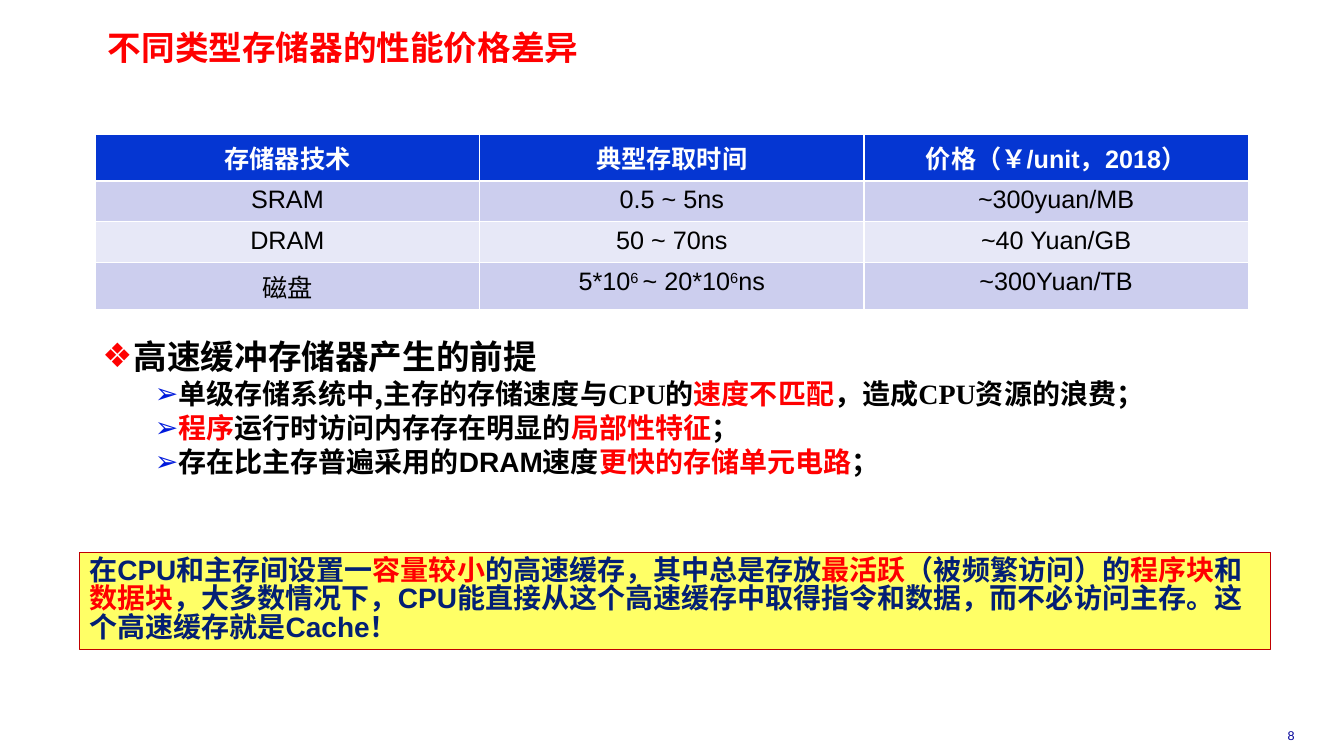
from dataclasses import dataclass

import lxml.etree
import pptx
import pptx.dml.color
import pptx.enum.shapes
import pptx.enum.text
import pptx.oxml.ns
import pptx.util

Cm = pptx.util.Cm
Pt = pptx.util.Pt
ALIGN = pptx.enum.text.PP_ALIGN
ANCHOR = pptx.enum.text.MSO_ANCHOR


@dataclass(frozen=True)
class Theme:
    red: str = "FF0000"
    black: str = "000000"
    white: str = "FFFFFF"
    navy: str = "031F74"
    number: str = "000099"
    header: str = "0536D2"
    band_dark: str = "CCCEEE"
    band_light: str = "E7E8F7"
    arrow: str = "001ADC"
    callout: str = "FFFF66"
    callout_line: str = "C00000"
    heading: int = 24
    body: int = 20
    cell: int = 18
    small: int = 9
    sans: str = "Arial"
    serif: str = "Times New Roman"
    mono: str = "Courier New"
    cjk: str = "Noto Sans CJK SC"


THEME = Theme()

TABLE_ROWS = [
    ["存储器技术", "典型存取时间", "价格（￥/unit，2018）"],
    ["SRAM", "0.5 ~ 5ns", "~300yuan/MB"],
    ["DRAM", "50 ~ 70ns", "~40 Yuan/GB"],
    ["磁盘", [("5*10", {}), ("6 ", {"raised": True}), ("~ 20*10", {}),
             ("6", {"raised": True}), ("ns", {})], "~300Yuan/TB"],
]

RED = {"color": THEME.red}
CJK = {"name": THEME.cjk}
SERIF = {"name": THEME.serif}
RED_CJK = {**RED, **CJK}

PREMISE = "高速缓冲存储器产生的前提"
REASONS = [
    [("单级存储系统中,主存的存储速度与", CJK), ("CPU", SERIF), ("的", CJK),
     ("速度不匹配", RED_CJK), ("，造成", CJK), ("CPU", SERIF), ("资源的浪费；", CJK)],
    [("程序", RED_CJK), ("运行时访问内存存在明显的", CJK), ("局部性特征", RED_CJK), ("；", CJK)],
    [("存在比主存普遍采用的DRAM速度", {}), ("更快的存储单元电路", RED), ("；", {})],
]

CACHE = [
    ("在CPU和主存间设置一", {}), ("容量较小", RED), ("的高速缓存，其中总是存放", {}),
    ("最活跃", RED), ("（被频繁访问）的", {}), ("程序块", RED), ("和", {}), ("数据块", RED),
    ("，大多数情况下，CPU能直接从这个高速缓存中取得指令和数据，而不必访问主存。"
     "这个高速缓存就是Cache！", {}),
]


def rgb(value):
    return pptx.dml.color.RGBColor.from_string(value)


def add_element(parent, tag, **attributes):
    return lxml.etree.SubElement(parent, pptx.oxml.ns.qn(tag), attributes)


def write(para, content, size, color, name=THEME.sans, bold=True):
    spans = [(content, {})] if isinstance(content, str) else content
    for text, change in spans:
        span = para.add_run()
        span.text = text
        span.font.size = Pt(size)
        span.font.bold = bold
        span.font.color.rgb = rgb(change.get("color", color))
        span.font.name = change.get("name", name)
        properties = span.font._element
        add_element(properties, "a:ea", typeface=THEME.cjk)
        if change.get("raised"):
            properties.set("baseline", "30000")


def place(shape, box):
    shape.left, shape.top, shape.width, shape.height = box


def prepare(shape, across, down, anchor=ANCHOR.TOP):
    frame = shape.text_frame
    frame.word_wrap = True
    frame.auto_size = pptx.enum.text.MSO_AUTO_SIZE.NONE
    frame.vertical_anchor = anchor
    frame.margin_left = frame.margin_right = across
    frame.margin_top = frame.margin_bottom = down
    return frame


def add_bullet(para, symbol, color, left, hanging):
    properties = para._p.get_or_add_pPr()
    properties.set("marL", str(left))
    properties.set("indent", str(-hanging))
    add_element(add_element(properties, "a:buClr"), "a:srgbClr", val=color)
    add_element(properties, "a:buFont", typeface=THEME.sans)
    add_element(properties, "a:buChar", char=symbol)


def build_title(page, box):
    title = page.shapes.title
    place(title, box)
    para = prepare(title, Cm(0.18), Cm(0.08), ANCHOR.MIDDLE).paragraphs[0]
    para.alignment = ALIGN.LEFT
    para.line_spacing = 0.87
    write(para, "不同类型存储器的性能价格差异", THEME.heading, THEME.red, THEME.mono)


def build_table(page, box):
    table = page.shapes.add_table(len(TABLE_ROWS), len(TABLE_ROWS[0]), *box).table
    for row, contents in enumerate(TABLE_ROWS):
        is_header = row == 0
        band = THEME.band_dark if row % 2 else THEME.band_light
        for column, content in enumerate(contents):
            cell = table.cell(row, column)
            cell.margin_left = cell.margin_right = Cm(0.33)
            cell.margin_top = cell.margin_bottom = Cm(0.13)
            cell.fill.solid()
            cell.fill.fore_color.rgb = rgb(THEME.header if is_header else band)
            para = cell.text_frame.paragraphs[0]
            para.alignment = ALIGN.CENTER
            write(para, content, THEME.cell,
                  THEME.white if is_header else THEME.black, bold=is_header)


def build_premises(page, box):
    body = page.placeholders[1]
    place(body, box)
    frame = prepare(body, Cm(0.18), Cm(0.08))
    for index, content in enumerate([PREMISE, *REASONS]):
        para = frame.paragraphs[0] if index == 0 else frame.add_paragraph()
        para.line_spacing = 0.85
        para.space_before = Pt(2 if index else 0)
        para.space_after = Pt(2)
        if index == 0:
            add_bullet(para, "❖", THEME.red, Cm(0.79), Cm(0.79))
        else:
            para.level = 1
            add_bullet(para, "➢", THEME.arrow, Cm(1.85), Cm(0.53))
        write(para, content, THEME.body if index else THEME.heading, THEME.black)


def build_callout(page, box):
    callout = page.shapes.add_shape(pptx.enum.shapes.MSO_SHAPE.RECTANGLE, *box)
    callout.shadow.inherit = False
    callout.fill.solid()
    callout.fill.fore_color.rgb = rgb(THEME.callout)
    callout.line.color.rgb = rgb(THEME.callout_line)
    callout.line.width = Pt(0.75)
    para = prepare(callout, Cm(0.25), Cm(0.13)).paragraphs[0]
    para.alignment = ALIGN.LEFT
    para.line_spacing = 0.85
    write(para, CACHE, THEME.body, THEME.navy)


def build_page_number(page, box):
    number = page.shapes.add_textbox(*box)
    para = prepare(number, Cm(0.25), Cm(0.13)).paragraphs[0]
    para.alignment = ALIGN.CENTER
    write(para, "8", THEME.small, THEME.number, bold=False)


def main():
    deck = pptx.Presentation()
    deck.slide_width, deck.slide_height = Cm(33.87), Cm(19.05)
    page = deck.slides.add_slide(deck.slide_layouts[1])
    build_title(page, (Cm(2.54), Cm(0.74), Cm(19.48), Cm(1.04)))
    build_table(page, (Cm(2.4), Cm(3.38), Cm(29.06), Cm(4.12)))
    build_premises(page, (Cm(2.4), Cm(8.53), Cm(29.64), Cm(3.73)))
    build_callout(page, (Cm(2), Cm(13.92), Cm(30.02), Cm(2.44)))
    build_page_number(page, (Cm(31.34), Cm(18.21), Cm(2.4), Cm(0.64)))
    deck.save("out.pptx")


if __name__ == "__main__":
    main()
